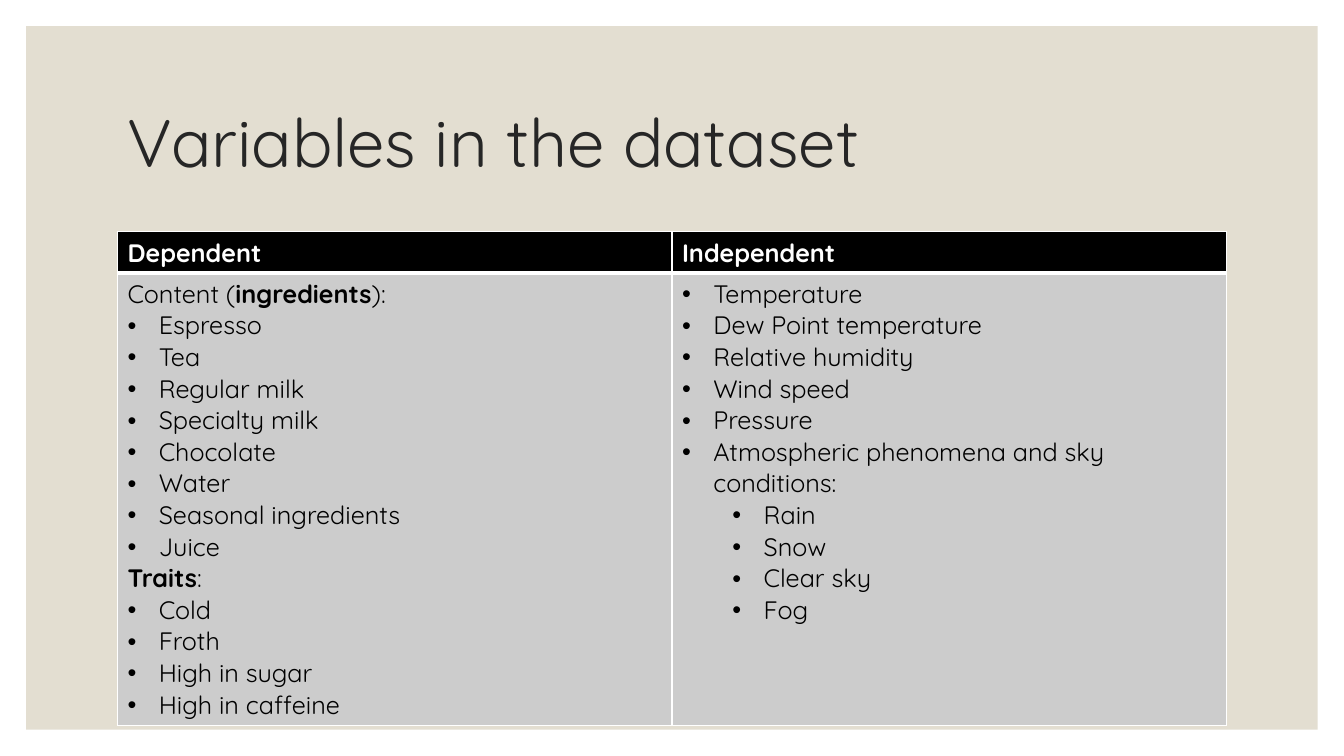
from lxml.etree import SubElement
from pptx import Presentation
from pptx.dml.color import RGBColor
from pptx.enum.shapes import MSO_SHAPE
from pptx.enum.text import MSO_ANCHOR
from pptx.oxml.ns import qn
from pptx.util import Emu, Inches, Pt

COLORS = {
    "paper": "FFFFFF",
    "panel": "E3DED1",
    "title": "262626",
    "header": "000000",
    "body": "CCCCCC",
    "ink": "000000",
}
FONT = "Quicksand"
SLIDE_W, SLIDE_H = 13.33, 7.5
FRAME = 0.26
CONTENT_W = 11
MARGIN = (SLIDE_W - CONTENT_W) / 2
HEADER_H, BODY_H = 0.41, 4.49
BULLET_HANG, LEVEL_STEP = 0.31, 0.5

# Each line is (bullet level, text); None means no bullet, asterisks mark bold
INGREDIENTS = ["Espresso", "Tea", "Regular milk", "Specialty milk",
               "Chocolate", "Water", "Seasonal ingredients", "Juice"]
TRAITS = ["Cold", "Froth", "High in sugar", "High in caffeine"]
WEATHER = ["Temperature", "Dew Point temperature", "Relative humidity",
           "Wind speed", "Pressure",
           "Atmospheric phenomena and sky conditions:"]
CONDITIONS = ["Rain", "Snow", "Clear sky", "Fog"]


def bullets(items, level=0):
    return [(level, item) for item in items]


VARIABLES = {
    "Dependent": [(None, "Content (*ingredients*):"), *bullets(INGREDIENTS),
                  (None, "*Traits*:"), *bullets(TRAITS)],
    "Independent": bullets(WEATHER) + bullets(CONDITIONS, level=1),
}


def rgb(name):
    return RGBColor.from_string(COLORS[name])


def add_bullet(paragraph, level):
    paragraph.level = level
    properties = paragraph._p.get_or_add_pPr()
    properties.set("marL", str(Inches(BULLET_HANG + level * LEVEL_STEP)))
    properties.set("indent", str(-Inches(BULLET_HANG)))
    SubElement(properties, qn("a:buFont"), typeface="Arial")
    SubElement(properties, qn("a:buChar"), char="•")


def write(frame, lines, size=18, color="ink", spacing=None):
    """Fill a text frame with (level, text) lines."""
    for index, (level, text) in enumerate(lines):
        paragraph = frame.add_paragraph() if index else frame.paragraphs[0]
        if spacing:
            paragraph.line_spacing = spacing
        if level is not None:
            add_bullet(paragraph, level)
        for position, part in enumerate(text.split("*")):
            if not part:
                continue
            run = paragraph.add_run()
            run.text = part
            run.font.name = FONT
            run.font.size = Pt(size)
            run.font.bold = position % 2 == 1
            run.font.color.rgb = rgb(color)


def add_panel(slide):
    panel = slide.shapes.add_shape(
        MSO_SHAPE.RECTANGLE, Inches(FRAME), Inches(FRAME),
        Inches(SLIDE_W - 2 * FRAME), Inches(SLIDE_H - 2 * FRAME))
    panel.shadow.inherit = False
    panel.fill.solid()
    panel.fill.fore_color.rgb = rgb("panel")
    panel.line.fill.background()


def add_title(slide, text):
    title = slide.shapes.add_textbox(
        Inches(MARGIN), Inches(0.7), Inches(CONTENT_W), Inches(1.5))
    title.text_frame.word_wrap = True
    title.text_frame.vertical_anchor = MSO_ANCHOR.MIDDLE
    write(title.text_frame, [(None, text)], size=48, color="title",
          spacing=0.9)


def style_cell(cell, fill, top=1, bottom=1):
    properties = cell._tc.get_or_add_tcPr()
    for side, width in (("L", 1), ("R", 1), ("T", top), ("B", bottom)):
        border = SubElement(properties, qn(f"a:ln{side}"), w=str(Pt(width)))
        solid = SubElement(border, qn("a:solidFill"))
        SubElement(solid, qn("a:srgbClr"), val=COLORS["paper"])
    cell.fill.solid()
    cell.fill.fore_color.rgb = rgb(fill)


def add_variables_table(slide, variables):
    table = slide.shapes.add_table(
        2, len(variables), Inches(MARGIN), Inches(2.3),
        Inches(CONTENT_W), Inches(HEADER_H + BODY_H)).table
    table.rows[0].height = Inches(HEADER_H)
    table.rows[1].height = Inches(BODY_H)
    for column, (heading, lines) in enumerate(variables.items()):
        table.columns[column].width = Emu(Inches(CONTENT_W) // len(variables))
        header, body = table.cell(0, column), table.cell(1, column)
        style_cell(header, "header", bottom=3)
        style_cell(body, "body", top=3)
        write(header.text_frame, [(None, f"*{heading}*")], color="paper")
        write(body.text_frame, lines)


def main():
    deck = Presentation()
    deck.slide_width, deck.slide_height = Inches(SLIDE_W), Inches(SLIDE_H)
    slide = deck.slides.add_slide(deck.slide_layouts[6])
    slide.background.fill.solid()
    slide.background.fill.fore_color.rgb = rgb("paper")
    # Backdrop and heading
    add_panel(slide)
    add_title(slide, "Variables in the dataset")
    # Variables by role
    add_variables_table(slide, VARIABLES)
    deck.save("out.pptx")


main()
